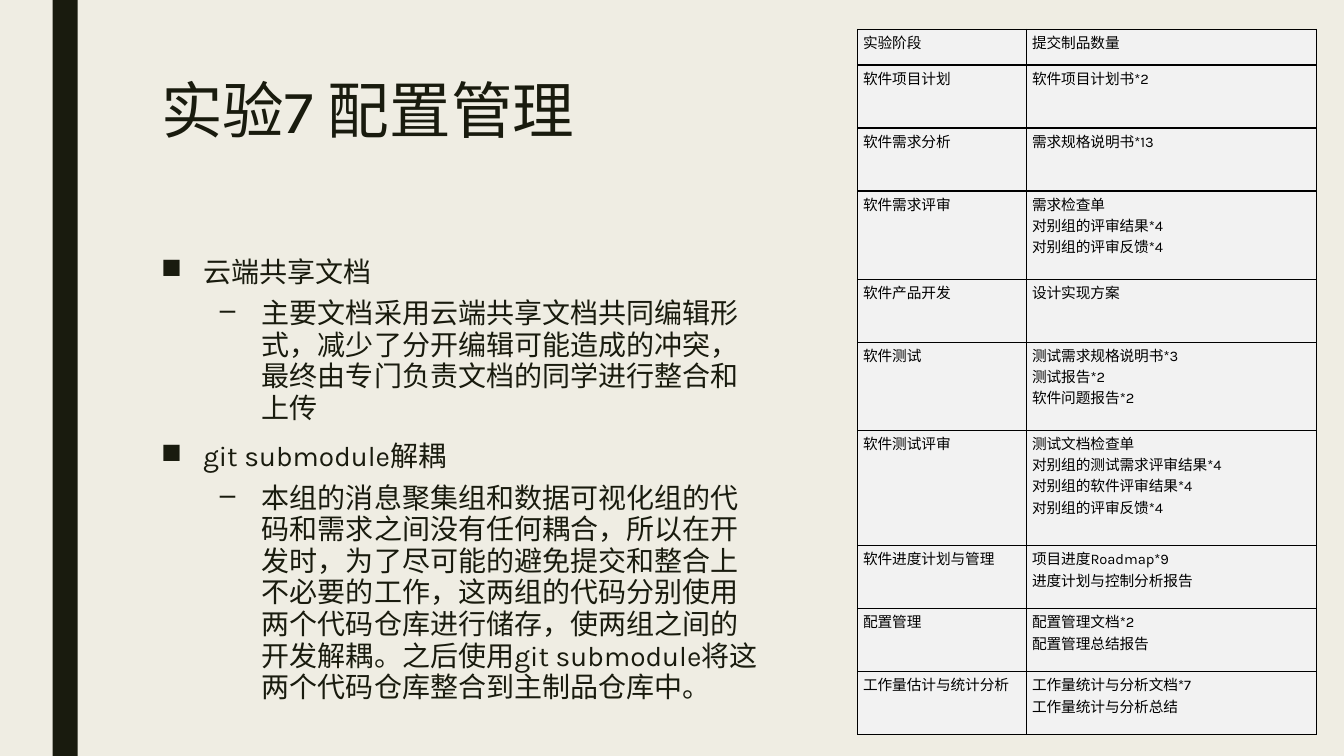
from lxml import etree
from pptx import Presentation
from pptx import util as u
from pptx.dml.color import RGBColor
from pptx.enum import shapes, text
from pptx.oxml.ns import qn

COLOURS = {"paper": "EFEDE3", "ink": "191B0E", "cell": "F2F2F2", "black": "000000"}
FONT = "Karla"
EMU_PER_PX = 9525  # 96 px to the inch

TITLE = {"size": 44, "colour": "ink", "para": {"line_spacing": 0.89}}
CELL = {"size": 10.5, "colour": "black", "para": {}}
TOPIC = {"size": 20, "colour": "ink", "bullet": "■", "indent": (40, -40),
         "para": {"line_spacing": 0.94, "space_before": u.Pt(10), "space_after": u.Pt(2)}}
DETAIL = {"size": 20, "colour": "ink", "bullet": "–", "indent": (96, -40),
          "para": {"level": 1, "line_spacing": 0.94,
                   "space_before": u.Pt(5), "space_after": u.Pt(2)}}

NOTES = [
    ("云端共享文档", TOPIC),
    ("主要文档采用云端共享文档共同编辑形式，减少了分开编辑可能造成的冲突，"
     "最终由专门负责文档的同学进行整合和上传", DETAIL),
    ("git submodule解耦", TOPIC),
    ("本组的消息聚集组和数据可视化组的代码和需求之间没有任何耦合，所以在开发时，"
     "为了尽可能的避免提交和整合上不必要的工作，这两组的代码分别使用两个代码仓库进行储存，"
     "使两组之间的开发解耦。之后使用git submodule将这两个代码仓库整合到主制品仓库中。", DETAIL),
]

# Row height, stage, deliverables
STAGES = [
    (34, "实验阶段", ["提交制品数量"]),
    (60, "软件项目计划", ["软件项目计划书*2"]),
    (60, "软件需求分析", ["需求规格说明书*13"]),
    (84, "软件需求评审", ["需求检查单", "对别组的评审结果*4", "对别组的评审反馈*4"]),
    (60, "软件产品开发", ["设计实现方案"]),
    (84, "软件测试", ["测试需求规格说明书*3", "测试报告*2", "软件问题报告*2"]),
    (110, "软件测试评审", ["测试文档检查单", "对别组的测试需求评审结果*4",
                     "对别组的软件评审结果*4", "对别组的评审反馈*4"]),
    (60, "软件进度计划与管理", ["项目进度Roadmap*9", "进度计划与控制分析报告"]),
    (60, "配置管理", ["配置管理文档*2", "配置管理总结报告"]),
    (60, "工作量估计与统计分析", ["工作量统计与分析文档*7", "工作量统计与分析总结"]),
]


def px(length):
    return u.Emu(length * EMU_PER_PX)


def colour(name):
    return RGBColor.from_string(COLOURS[name])


class SlideBuilder:
    def __init__(self, page):
        self.page = page
        page.background.fill.solid()
        page.background.fill.fore_color.rgb = colour("paper")

    def bar(self, left, top, width, height):
        shape = self.page.shapes.add_shape(
            shapes.MSO_SHAPE.RECTANGLE, *map(px, (left, top, width, height)))
        shape.shadow.inherit = False
        shape.fill.solid()
        shape.fill.fore_color.rgb = colour("ink")
        shape.line.fill.background()

    def fill_text(self, frame, lines):
        frame.word_wrap = True
        for index, (words, style) in enumerate(lines):
            para = frame.add_paragraph() if index else frame.paragraphs[0]
            for name, value in style["para"].items():
                setattr(para, name, value)
            if "bullet" in style:
                self.bullet(para, style)
            span = para.add_run()
            span.text = words
            span.font.color.rgb = colour(style["colour"])
            for name, value in {"name": FONT, "size": u.Pt(style["size"])}.items():
                setattr(span.font, name, value)

    def bullet(self, para, style):
        props = para._p.get_or_add_pPr()
        for name, length in zip(("marL", "indent"), style["indent"]):
            props.set(name, str(px(length)))
        etree.SubElement(props, qn("a:buChar")).set("char", style["bullet"])

    def text_box(self, left, top, width, height, lines):
        box = self.page.shapes.add_textbox(*map(px, (left, top, width, height)))
        box.text_frame.vertical_anchor = text.MSO_ANCHOR.TOP
        self.fill_text(box.text_frame, lines)

    def table(self, left, top, widths, rows):
        heights = [row[0] for row in rows]
        area = map(px, (left, top, sum(widths), sum(heights)))
        table = self.page.shapes.add_table(len(rows), len(widths), *area).table
        table.first_row = table.horz_banding = False
        for column, width in zip(table.columns, widths):
            column.width = px(width)
        for index, (height, stage, items) in enumerate(rows):
            table.rows[index].height = px(height)
            for column, lines in enumerate(([stage], items)):
                self.cell(table.cell(index, column), lines)

    def cell(self, cell, lines):
        margins = {"margin_left": 5, "margin_right": 5, "margin_top": 2, "margin_bottom": 2}
        for name, length in margins.items():
            setattr(cell, name, px(length))
        cell.fill.solid()
        cell.fill.fore_color.rgb = colour("cell")
        # Borders come before the fill in the cell properties
        props = cell._tc.get_or_add_tcPr()
        for position, side in enumerate(("lnL", "lnR", "lnT", "lnB")):
            line = etree.Element(qn("a:" + side), w=str(u.Pt(1)))
            fill = etree.SubElement(line, qn("a:solidFill"))
            etree.SubElement(fill, qn("a:srgbClr")).set("val", COLOURS["black"])
            props.insert(position, line)
        self.fill_text(cell.text_frame, [(words, CELL) for words in lines])


def main():
    deck = Presentation()
    deck.slide_width, deck.slide_height = px(1280), px(720)
    slide = SlideBuilder(deck.slides.add_slide(deck.slide_layouts[6]))

    # Side bar and title
    slide.bar(50, 0, 24, 720)
    slide.text_box(144, 72, 1008, 156, [("实验7 配置管理", TITLE)])

    # Deliverables by stage
    slide.table(817, 28, (161, 276), STAGES)

    # Notes on configuration management
    slide.text_box(144, 240, 594, 442, NOTES)
    deck.save("out.pptx")


if __name__ == "__main__":
    main()
